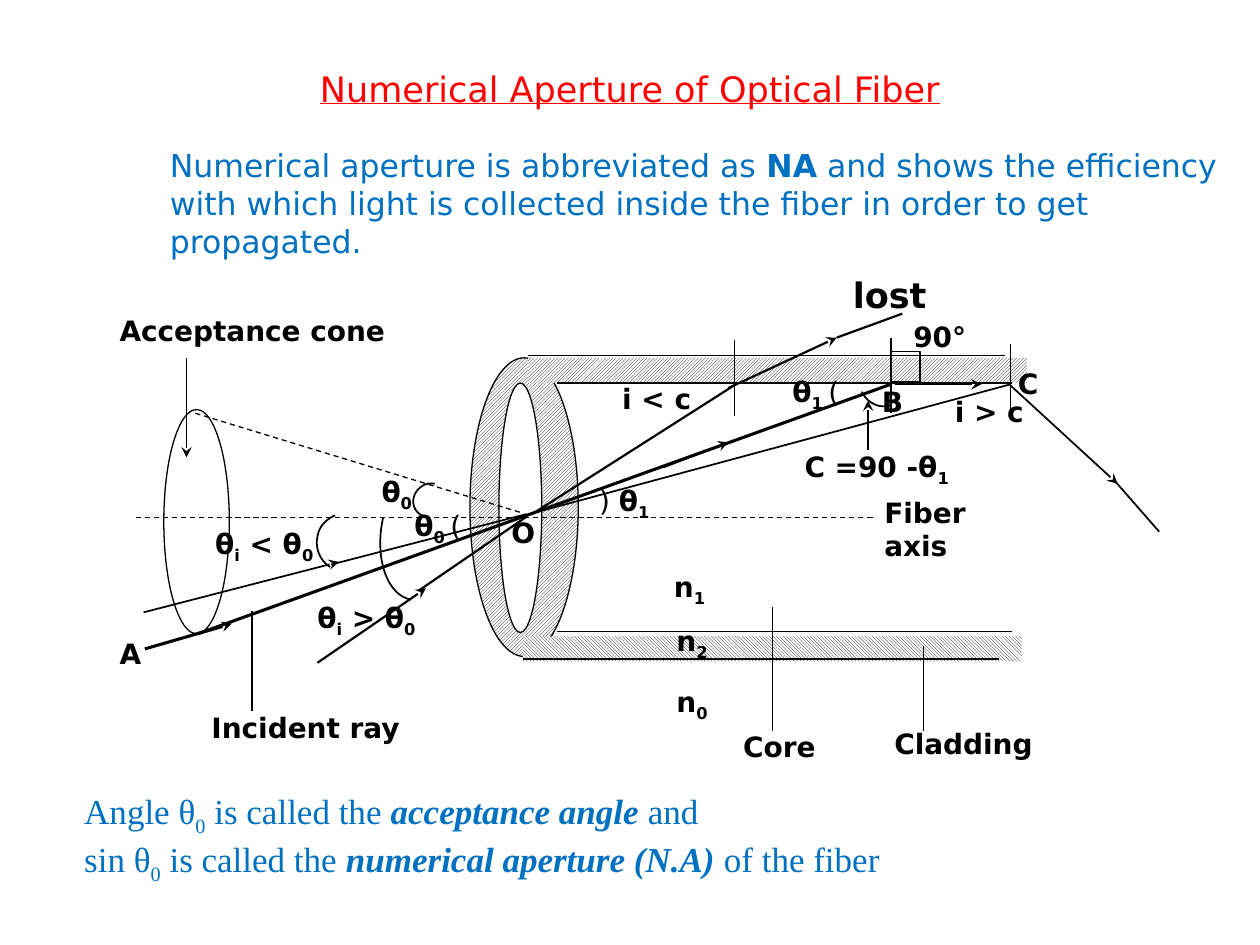
import pptx
import pptx.util
import pptx.dml.color
import pptx.enum.dml
import pptx.enum.shapes
import pptx.enum.text
import pptx.oxml
import pptx.oxml.ns

RED = pptx.dml.color.RGBColor(0xFF, 0x00, 0x00)
BLUE = pptx.dml.color.RGBColor(0x00, 0x70, 0xC0)
BLACK = pptx.dml.color.RGBColor(0x00, 0x00, 0x00)
WHITE = pptx.dml.color.RGBColor(0xFF, 0xFF, 0xFF)
SANS, SERIF = "DejaVu Sans", "Times New Roman"
COLS, ROWS = 100, 75
OVAL = pptx.enum.shapes.MSO_SHAPE.OVAL
RECT = pptx.enum.shapes.MSO_SHAPE.RECTANGLE
UP = pptx.enum.dml.MSO_PATTERN.LIGHT_UPWARD_DIAGONAL
DOWN = pptx.enum.dml.MSO_PATTERN.LIGHT_DOWNWARD_DIAGONAL


class Diagram:
    """Places elements on a slide divided into COLS columns and ROWS rows."""

    def __init__(self, prs):
        self.cell_w = prs.slide_width / COLS
        self.cell_h = prs.slide_height / ROWS
        self.s = prs.slides.add_slide(prs.slide_layouts[5])

    def grid(self, *lengths):
        """Turn alternating columns and rows into EMU."""
        return [pptx.util.Emu(round(n * (self.cell_h if i % 2 else self.cell_w)))
                for i, n in enumerate(lengths)]

    def runs(self, p, parts, font, size, color):
        """Flags of a part: b bold, i italic, u underlined, s subscript."""
        for words, flags in parts:
            r = p.add_run()
            r.text = words
            r.font.name, r.font.size = font, pptx.util.Pt(size)
            r.font.color.rgb = color
            r.font.bold = "b" in flags
            r.font.italic = "i" in flags
            r.font.underline = "u" in flags
            if "s" in flags:
                r._r.get_or_add_rPr().set("baseline", "-25000")

    def title(self, box, words):
        sp = self.s.shapes.title
        sp.left, sp.top, sp.width, sp.height = self.grid(*box)
        tf = sp.text_frame
        tf.word_wrap = False
        tf.auto_size = pptx.enum.text.MSO_AUTO_SIZE.NONE
        p = tf.paragraphs[0]
        p.alignment = pptx.enum.text.PP_ALIGN.CENTER
        self.runs(p, [(words, "u")], SANS, 20, RED)

    def text(self, box, paragraphs, font=SANS, size=16, color=BLACK):
        tf = self.s.shapes.add_textbox(*self.grid(*box)).text_frame
        tf.word_wrap = True
        for i, parts in enumerate(paragraphs):
            p = tf.add_paragraph() if i else tf.paragraphs[0]
            self.runs(p, parts, font, size, color)

    def label(self, box, *pieces, size=16):
        """Bold label whose every second piece is a subscript."""
        parts = [(words, "bs" if i % 2 else "b") for i, words in enumerate(pieces)]
        self.text(box, [parts], size=size)

    def shape(self, kind, box, fill=None, pattern=None, width=0.75):
        sp = self.s.shapes.add_shape(kind, *self.grid(*box))
        sp.shadow.inherit = False
        if pattern:
            sp.fill.patterned()
            sp.fill.pattern = pattern
            sp.fill.fore_color.rgb, sp.fill.back_color.rgb = BLACK, WHITE
        elif fill is not None:
            sp.fill.solid()
            sp.fill.fore_color.rgb = fill
        else:
            sp.fill.background()
        self.outline(sp, width)

    def outline(self, sp, width):
        if width:
            sp.line.color.rgb = BLACK
            sp.line.width = pptx.util.Pt(width)
        else:
            sp.line.fill.background()

    def line(self, ends, width=0.75, dashed=False, arrow=False):
        c = self.s.shapes.add_connector(
            pptx.enum.shapes.MSO_CONNECTOR.STRAIGHT, *self.grid(*ends))
        self.outline(c, width)
        if dashed:
            c.line.dash_style = pptx.enum.dml.MSO_LINE.DASH
        if arrow:
            tail = pptx.oxml.parse_xml(
                '<a:tailEnd %s type="stealth"/>' % pptx.oxml.ns.nsdecls("a"))
            c.line._get_or_add_ln().append(tail)
        c._element.spPr.append(pptx.oxml.parse_xml(
            "<a:effectLst %s/>" % pptx.oxml.ns.nsdecls("a")))

    def arc(self, start, *curves, steps=16):
        """Open outline through Bezier curves of three points each."""
        points = [start]
        for c1, c2, end in curves:
            p0 = points[-1]
            for k in range(1, steps + 1):
                t = k / steps
                u = 1 - t
                points.append(tuple(
                    u**3 * a + 3 * u * u * t * b + 3 * u * t * t * c + t**3 * d
                    for a, b, c, d in zip(p0, c1, c2, end)))
        points = [self.grid(*pt) for pt in points]
        builder = self.s.shapes.build_freeform(*points[0])
        builder.add_line_segments(points[1:], close=False)
        sp = builder.convert_to_shape()
        sp.shadow.inherit = False
        sp.fill.background()
        self.outline(sp, 1)


def add_fiber(d):
    d.shape(OVAL, (37.3, 28.4, 8.6, 23.7), pattern=UP)
    d.shape(OVAL, (39.6, 30.4, 3.4, 19.8), fill=WHITE)
    d.shape(RECT, (41.9, 28.4, 39.6, 2), pattern=UP, width=0)
    d.shape(RECT, (41.5, 50.5, 39.6, 2), pattern=DOWN, width=0)
    for left, right, y in ((41.9, 79.8, 28.2), (41.5, 79.3, 52.3),
                           (44.2, 80.3, 30.4), (44.2, 80.3, 50.1)):
        d.line((left, y, right, y))
    d.shape(OVAL, (13, 32.5, 5.2, 17.8), fill=WHITE)


def add_rays(d):
    d.line((15.5, 32.8, 41.4, 40.7), dashed=True)
    d.line((10.8, 41.1, 69.3, 41.1), dashed=True)
    # critical ray A-O-B
    d.line((15.7, 50.3, 70.7, 30.5), 1.75)
    d.line((11.5, 51.5, 18.4, 49.5), 1.75, arrow=True)
    d.line((52.7, 37.1, 57.8, 35.1), arrow=True)
    d.line((71, 30.5, 77.9, 30.5), arrow=True)
    # guided ray through C
    d.line((11.4, 48.6, 26.9, 44.6), 1, arrow=True)
    d.line((26.3, 44.8, 41.8, 40.8), 1)
    d.line((42.4, 40.7, 80.2, 30.5), 1)
    d.line((80.1, 30.5, 88.7, 38.4), 1, arrow=True)
    d.line((88.5, 38.2, 92, 42.2), 1)
    # lost ray
    d.line((25.2, 52.6, 33.8, 46.7), 1.25, arrow=True)
    d.line((33.2, 46.9, 41.8, 41), 1.25)
    d.line((42.4, 40.7, 58.4, 30.5), 1.25)
    d.line((57.8, 30.8, 66.4, 26.8), 1.25, arrow=True)
    d.line((66.4, 26.8, 71.6, 24.9), 1.25)
    # normals
    for x, top in ((70.7, 26.8), (80.2, 27.3), (58.3, 27)):
        d.line((x, top, x, top + 6), 1)


def add_angles(d):
    d.arc((32.6, 47.6), ((30.7, 47.2), (29.7, 44.3), (30.4, 41.1)))
    d.arc((26.2, 45), ((25.4, 44.5), (25, 43.5), (25.2, 42.6)),
          ((25.3, 41.8), (25.9, 41.2), (26.6, 40.9)))
    d.arc((34.5, 38.4), ((33.6, 38.2), (32.8, 39), (32.8, 39.8)),
          ((32.8, 40.3), (33.1, 40.8), (33.7, 41)))
    d.arc((70.8, 32.1), ((70, 32.5), (68.9, 32.1), (68.4, 31.1)))
    d.shape(RECT, (70.7, 27.9, 2.3, 2.4), width=1)


def add_labels(d):
    for x, start, end in ((73.3, 51.3, 58), (61.3, 48.2, 58), (20, 48.5, 56.4)):
        d.line((x, start, x, end))
    d.line((14.8, 28.4, 14.8, 36.3), arrow=True)
    d.line((68.9, 35.7, 68.9, 31.8), 1, arrow=True)
    for x, y, w, *pieces in (
            (8.5, 24.4, 25.2, "Acceptance cone"), (69.2, 38.8, 12.8, "Fiber axis"),
            (70, 57.2, 15.3, "Cladding"), (58, 57.4, 8.5, "Core"),
            (15.8, 55.9, 17.9, "Incident ray"), (39.6, 40.4, 8, "O"),
            (8.5, 50, 5.2, "A"), (69, 30, 8, "B"), (79.8, 28.6, 8, "C"),
            (52.5, 44.7, 5.2, "n", "1"), (52.7, 49, 5.2, "n", "2"),
            (52.7, 53.8, 5.2, "n", "0"), (29.3, 37.2, 4.4, "θ", "0"),
            (16.1, 41.3, 10.4, "θ", "i", " < θ", "0"),
            (24.2, 47.2, 11.2, "θ", "i", " > θ", "0"),
            (48.4, 29.8, 8.6, "i < c"), (74.8, 30.8, 8.6, "i > c"),
            (62.1, 35.2, 15.8, " C =90 -θ", "1"), (71.5, 24.9, 8.6, "90°")):
        d.label((x, y, w, 5.9), *pieces)
    d.label((66.7, 21.2, 10.3, 5.9), "lost", size=20)
    for x, y, digit in ((31.9, 39.9, "0 "), (61.9, 29.2, "1 ")):
        d.text((x, y, 8, 5.9), [[("θ", "b"), (digit, "bs"), ("(", "")]])
    d.text((45.8, 37.9, 8, 5.9),
           [[(" ", "b"), (") ", ""), ("θ", "b"), ("1", "bs")]])


def main():
    prs = pptx.Presentation()
    prs.slide_width, prs.slide_height = pptx.util.Inches(10), pptx.util.Inches(7.5)
    d = Diagram(prs)
    d.title((24.1, 4.8, 51.8, 4.4), "Numerical Aperture of Optical Fiber")
    d.text((12.5, 11.1, 85.1, 10.1),
           [[("Numerical aperture is abbreviated as ", ""), ("NA", "b"),
             (" and shows the efficiency with which light is collected inside "
              "the fiber in order to get propagated.", "")]], size=18, color=BLUE)
    d.text((5.7, 62.2, 67.3, 7.7),
           [[(start, ""), ("0", "s"), (" is called the ", ""), (term, "bi"), (end, "")]
            for start, term, end in (
                ("Angle θ", "acceptance angle ", "and"),
                ("sin θ", "numerical aperture (N.A) ", "of the fiber"))],
           font=SERIF, size=20, color=BLUE)
    add_fiber(d)
    add_rays(d)
    add_angles(d)
    add_labels(d)
    prs.save("out.pptx")


if __name__ == "__main__":
    main()
